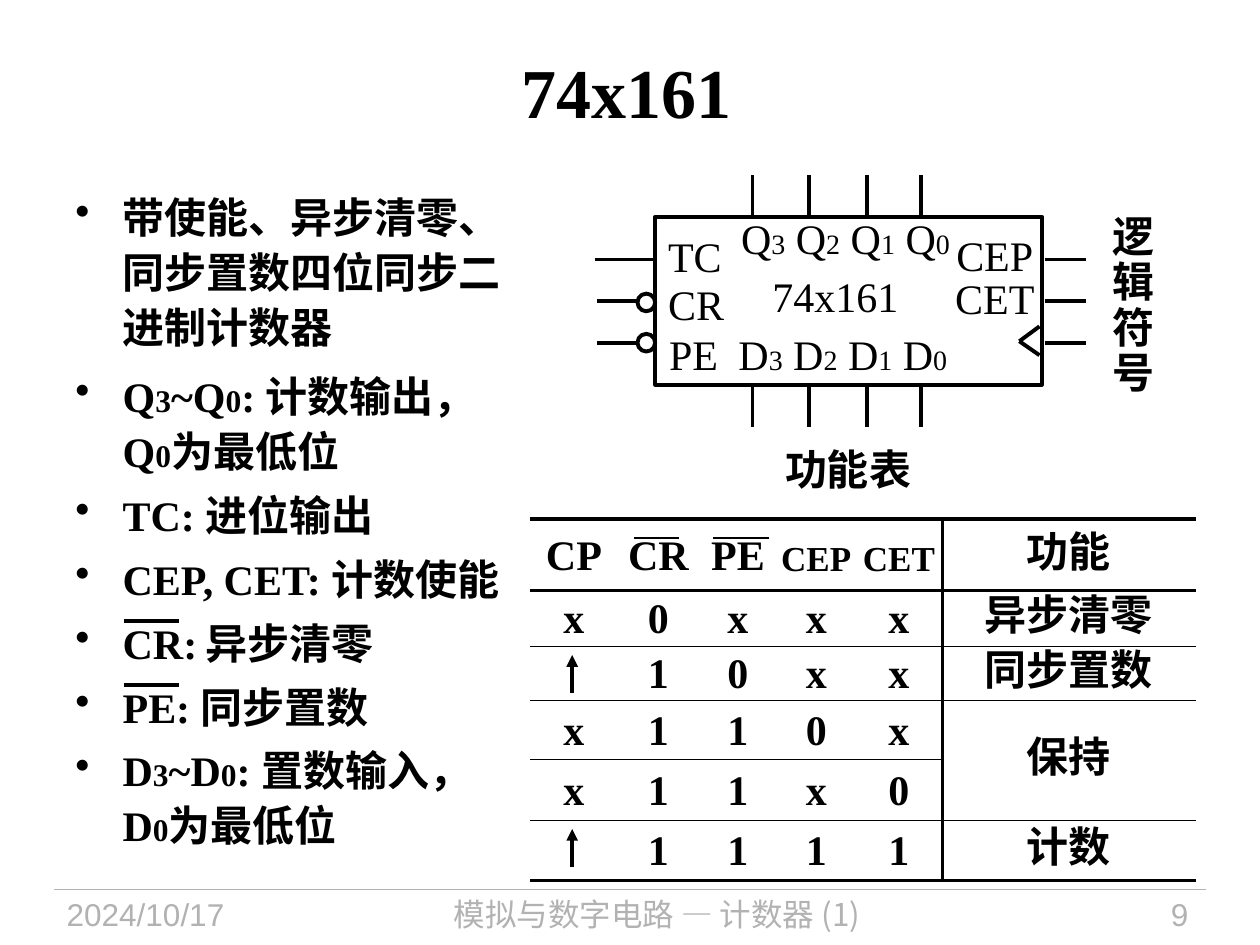
from itertools import accumulate

from lxml.etree import SubElement
from pptx import Presentation
from pptx.dml.color import RGBColor
from pptx.enum.shapes import MSO_CONNECTOR, MSO_SHAPE
from pptx.enum.text import MSO_ANCHOR, PP_ALIGN
from pptx.oxml import parse_xml
from pptx.oxml.ns import nsdecls, qn
from pptx.util import Pt

COLORS = {"ink": "000000", "paper": "FFFFFF", "footer": "B2B2B2"}
SERIF, SANS, CJK = "Times New Roman", "Arial", "Noto Sans CJK SC"
THICK, MEDIUM, THIN = 2.25, 1.5, 0.75

# Text between bars alternates between normal and small size
BULLETS = [
    "带使能、异步清零、同步置数四位同步二进制计数器",
    "Q|3|~Q|0|: 计数输出，Q|0|为最低位",
    "TC: 进位输出",
    "CEP, CET: 计数使能",
    "CR:| |异步清零",
    "PE: 同步置数",
    "D|3|~D|0|: 置数输入，D|0|为最低位",
]

TABLE_LEFT, TABLE_TOP = 303, 296.6
COLUMN_WIDTHS = [50, 46.5, 44.5, 45, 49.5, 144.8]
ROW_HEIGHTS = [41, 31.7, 31, 33.8, 34.6, 34.6]
RULES = [THICK, THICK, THIN, THIN, THIN, THIN, THICK]
HOLD_ROW = 3  # the "hold" function spans this row and the next
TABLE_ROWS = [
    ["CP", "CR", "PE", "CEP", "CET", "功能"],
    ["x", "0", "x", "x", "x", "异步清零"],
    ["", "1", "0", "x", "x", "同步置数"],
    ["x", "1", "1", "0", "x", "保持"],
    ["x", "1", "1", "x", "0", ""],
    ["", "1", "1", "1", "1", "计数"],
]


def color(name):
    return RGBColor.from_string(COLORS[name])


def style_paragraph(paragraph, text, size=24, font=SERIF, bold=False, ink="ink",
                    align=PP_ALIGN.CENTER, spacing=None, small=16):
    paragraph.alignment = align
    if spacing:
        paragraph.line_spacing = Pt(spacing)
    paragraph.font.name = font
    paragraph.font.size = Pt(size)
    paragraph.font.bold = bold
    paragraph.font.color.rgb = color(ink)
    for index, piece in enumerate(text.split("|") if text else []):
        run = paragraph.add_run()
        run.text = piece
        if index % 2:
            run.font.size = Pt(small)


def add_text(slide, box, lines, wrap=True, anchor=MSO_ANCHOR.TOP, **style):
    shape = slide.shapes.add_textbox(*map(Pt, box))
    frame = shape.text_frame
    frame.word_wrap = wrap
    frame.vertical_anchor = anchor
    for index, line in enumerate(lines):
        paragraph = frame.add_paragraph() if index else frame.paragraphs[0]
        style_paragraph(paragraph, line, **style)
    return frame


def add_line(slide, x1, y1, x2, y2, width=THICK, ink="ink", arrow=False):
    line = slide.shapes.add_connector(MSO_CONNECTOR.STRAIGHT, *map(Pt, (x1, y1, x2, y2)))
    line.line.color.rgb = color(ink)
    line.line.width = Pt(width)
    if arrow:
        SubElement(line.line._get_or_add_ln(), qn("a:tailEnd"), type="triangle")
    SubElement(line._element.spPr, qn("a:effectLst"))


def add_outline(slide, kind, box, filled):
    shape = slide.shapes.add_shape(kind, *map(Pt, box))
    shape.shadow.inherit = False
    if filled:
        shape.fill.solid()
        shape.fill.fore_color.rgb = color("paper")
    else:
        shape.fill.background()
    shape.line.color.rgb = color("ink")
    shape.line.width = Pt(THICK)


def add_bullets(slide):
    frame = add_text(slide, (36, 103, 264.2, 399.6), BULLETS, bold=True,
                     align=PP_ALIGN.LEFT, spacing=31.5, small=18)
    for index, paragraph in enumerate(frame.paragraphs):
        paragraph.space_after = Pt(5 if index else 8)
        properties = paragraph._p.get_or_add_pPr()
        properties.set("marL", str(Pt(27)))
        properties.set("indent", str(-Pt(27)))
        bullet = parse_xml(f'<a:buChar {nsdecls("a")} char="•"/>')
        properties.find(qn("a:defRPr")).addprevious(bullet)
    # Overlines of the active-low pins
    for y in (355, 391.7):
        add_line(slide, 70.6, y, 102.2, y)


def add_symbol(slide):
    add_outline(slide, MSO_SHAPE.RECTANGLE, (374.4, 123.8, 221, 96), filled=False)
    # Output pins above and data pins below
    for x in (430, 462.2, 495.4, 526.3):
        add_line(slide, x, 123.8, x, 100)
        add_line(slide, x, 244, x, 220.3)
    # Control pins on both sides
    for y, left, right in ((148.3, 339.8, 374.4), (172.1, 341.3, 373), (195.8, 341.3, 373)):
        add_line(slide, left, y, right, y)
        add_line(slide, 596.9, y, 620.6, y)
    # Clock wedge and inversion circles
    for y in (186.5, 203):
        add_line(slide, 594, y, 582.5, 195)
    for y in (167.8, 190.8):
        add_outline(slide, MSO_SHAPE.OVAL, (364.3, y, 10.1, 10.1), filled=True)
    # Pin names
    labels = [
        ("Q|3| Q|2| Q|1| Q|0", 416.2, 118, 133.9), ("D|3| D|2| D|1| D|0", 414.7, 184.3, 133.9),
        ("TC", 374.4, 128.2, 45.4), ("CR", 374.4, 155.5, 46.8), ("PE", 375.1, 184.3, 42.5),
        ("CEP", 539.3, 127.4, 58.3), ("CET", 538.6, 152, 59.8), ("74x161", 434.2, 151.2, 86.4),
    ]
    for text, left, top, width in labels:
        add_text(slide, (left, top, width, 36), [text], wrap=False, anchor=MSO_ANCHOR.MIDDLE)
    add_text(slide, (623.5, 119.5, 48.2, 110.9), "逻辑符号", font=SANS, bold=True, spacing=26)


def set_borders(cell, left, right, top, bottom):
    properties = cell._tc.get_or_add_tcPr()
    borders = {"lnL": left, "lnR": right, "lnT": top, "lnB": bottom}
    for index, (tag, width) in enumerate(borders.items()):
        paint = (f'<a:solidFill><a:srgbClr val="{COLORS["ink"]}"/></a:solidFill>'
                 if width else "<a:noFill/>")
        border = parse_xml(f'<a:{tag} {nsdecls("a")} w="{Pt(width)}">{paint}</a:{tag}>')
        properties.insert(index, border)


def add_function_table(slide):
    add_text(slide, (430.6, 249.8, 108, 36), ["功能表"], font=SANS, bold=True, spacing=28.8)
    last = len(COLUMN_WIDTHS) - 1
    frame = slide.shapes.add_table(
        len(TABLE_ROWS), last + 1, Pt(TABLE_LEFT), Pt(TABLE_TOP),
        Pt(sum(COLUMN_WIDTHS)), Pt(sum(ROW_HEIGHTS)))
    table = frame.table
    table.first_row = table.horz_banding = False
    for column, width in zip(table.columns, COLUMN_WIDTHS):
        column.width = Pt(width)
    for row, height in zip(table.rows, ROW_HEIGHTS):
        row.height = Pt(height)
    for r, values in enumerate(TABLE_ROWS):
        for c, value in enumerate(values):
            cell = table.cell(r, c)
            cell.margin_left = cell.margin_right = cell.margin_top = cell.margin_bottom = 0
            cell.vertical_anchor = MSO_ANCHOR.MIDDLE
            cell.fill.background()
            size = 20 if value in ("CEP", "CET") else 24
            style_paragraph(cell.text_frame.paragraphs[0], value, size=size, bold=True, spacing=28)
            inside_top = c == last and r == HOLD_ROW + 1
            inside_bottom = c == last and r == HOLD_ROW
            set_borders(cell, THICK if c == last else 0, THICK if c == last - 1 else 0,
                        0 if inside_top else RULES[r], 0 if inside_bottom else RULES[r + 1])
    table.cell(HOLD_ROW, last).merge(table.cell(HOLD_ROW + 1, last))
    # Overlines in the header
    for left, right in ((362.2, 388.1), (407.5, 439.2)):
        add_line(slide, left, 307.4, right, 307.4, MEDIUM)
    # Rising clock edges in the rows with an empty first cell
    row_tops = accumulate(ROW_HEIGHTS, initial=TABLE_TOP)
    for top, values in zip(row_tops, TABLE_ROWS):
        if not values[0]:
            add_line(slide, 327, top + 27, 327, top + 5, arrow=True)


def add_footer(slide):
    add_line(slide, 31, 508.3, 689, 508.3, THIN, "footer")
    parts = [
        ("2024/10/17", 31, 135.4, SANS, PP_ALIGN.LEFT),
        ("模拟与数字电路 — 计数器 (1)", 172.8, 405.4, CJK, PP_ALIGN.CENTER),
        ("9", 590.4, 95.8, SANS, PP_ALIGN.RIGHT),
    ]
    for text, left, width, font, align in parts:
        add_text(slide, (left, 508.3, width, 31.7), [text], size=18, font=font,
                 ink="footer", align=align, spacing=21)


def main():
    presentation = Presentation()
    presentation.slide_width, presentation.slide_height = Pt(720), Pt(540)
    slide = presentation.slides.add_slide(presentation.slide_layouts[6])
    add_footer(slide)
    add_text(slide, (36, 6.5, 644.4, 90), ["74x161"], size=40, bold=True,
             anchor=MSO_ANCHOR.MIDDLE)
    add_bullets(slide)
    add_symbol(slide)
    add_function_table(slide)
    presentation.save("out.pptx")


if __name__ == "__main__":
    main()
